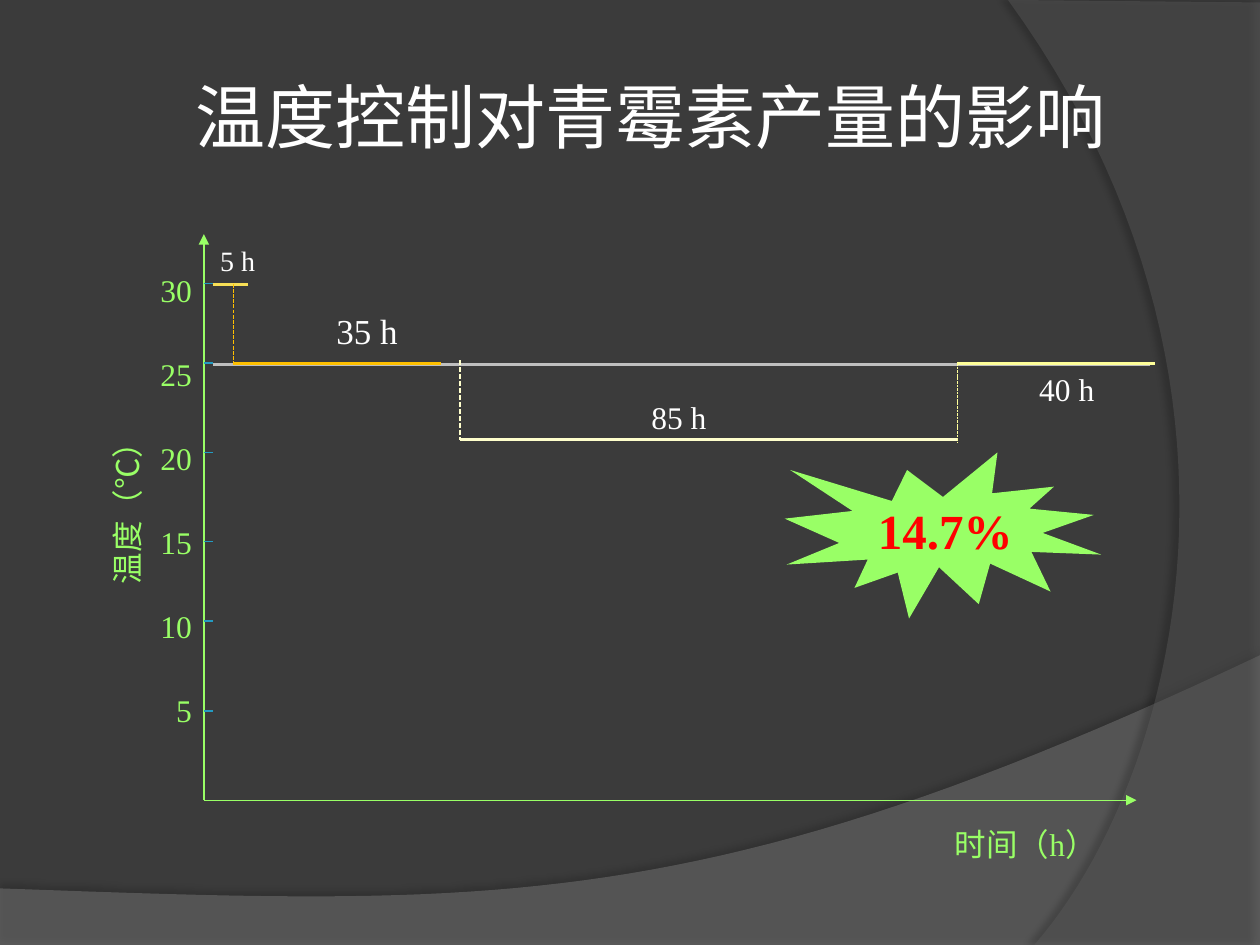
"""Build the slide on temperature control and penicillin yield."""
from lxml import etree
from pptx import Presentation
from pptx.dml.color import RGBColor
from pptx.enum.dml import MSO_LINE
from pptx.enum.shapes import MSO_CONNECTOR, MSO_SHAPE
from pptx.enum.text import MSO_ANCHOR, PP_ALIGN
from pptx.oxml.ns import qn
from pptx.util import Cm, Pt

STRAIGHT = MSO_CONNECTOR.STRAIGHT
BURST = MSO_SHAPE.EXPLOSION1
DASH = MSO_LINE.SQUARE_DOT
MIDDLE, TOP = MSO_ANCHOR.MIDDLE, MSO_ANCHOR.TOP
LEFT, CENTER, RIGHT = PP_ALIGN.LEFT, PP_ALIGN.CENTER, PP_ALIGN.RIGHT

COLORS = {
    "background": "3B3B3B", "wave": "7F7F7F", "arc": "5E5E5E",
    "white": "FFFFFF", "axis": "99FF66", "tick": "239BC2",
    "baseline": "BFBFBF", "gold": "F7DF56", "amber": "FFC000",
    "cream": "FFFFCC", "lemon": "FFFF99", "red": "FF0000", "black": "000000",
}
SERIF, CJK = "Times New Roman", "Noto Sans CJK SC"


def rgb(name):
    return RGBColor.from_string(COLORS[name])


def bezier(start, control1, control2, end, steps=48):
    points = []
    for step in range(1, steps + 1):
        t = step / steps
        weights = ((1 - t) ** 3, 3 * t * (1 - t) ** 2, 3 * t * t * (1 - t), t ** 3)
        points.append(tuple(
            sum(w * p for w, p in zip(weights, axis))
            for axis in zip(start, control1, control2, end)))
    return points


class SlideStyle:
    def __init__(self, slide):
        self.slide = slide
        self.shapes = slide.shapes
        slide.background.fill.solid()
        slide.background.fill.fore_color.rgb = rgb("background")

    def fill(self, shape, color):
        shape.shadow.inherit = False
        shape.fill.solid()
        shape.fill.fore_color.rgb = rgb(color)
        shape.line.fill.background()

    def backdrop(self, points, color, opacity, shade, blur, distance, angle):
        corners = [(Cm(x), Cm(y)) for x, y in points]
        builder = self.shapes.build_freeform(*corners[0], scale=1.0)
        builder.add_line_segments(corners[1:], close=True)
        panel = builder.convert_to_shape()
        self.fill(panel, color)
        properties = panel._element.spPr
        tint = properties.find(qn("a:solidFill")).find(qn("a:srgbClr"))
        etree.SubElement(tint, qn("a:alpha"), val=str(opacity * 1000))
        shadow = etree.SubElement(
            properties.find(qn("a:effectLst")), qn("a:outerShdw"),
            blurRad=str(Pt(blur)), dist=str(Pt(distance)),
            dir=str(angle * 60000), rotWithShape="0")
        dark = etree.SubElement(shadow, qn("a:srgbClr"), val=COLORS["black"])
        etree.SubElement(dark, qn("a:alpha"), val=str(shade * 1000))

    def line(self, start, end, color, width=0.75, dash=None, arrow=False):
        connector = self.shapes.add_connector(
            STRAIGHT, *(Cm(value) for value in (*start, *end)))
        connector.line.color.rgb = rgb(color)
        connector.line.width = Pt(width)
        if dash:
            connector.line.dash_style = dash
        if arrow:
            etree.SubElement(connector.line._get_or_add_ln(),
                             qn("a:tailEnd"), type="triangle")
        etree.SubElement(connector._element.spPr, qn("a:effectLst"))

    def text(self, box, lines, size, color, font=SERIF, align=LEFT, bold=False,
             rotation=0, spacing=None, gap=0, anchor=TOP, inset=0.25):
        label = self.shapes.add_textbox(*(Cm(value) for value in box))
        label.rotation = rotation
        frame = label.text_frame
        frame.word_wrap = True
        frame.vertical_anchor = anchor
        frame.margin_left = frame.margin_right = Cm(inset)
        for index, content in enumerate(lines):
            paragraph = frame.add_paragraph() if index else frame.paragraphs[0]
            paragraph.alignment = align
            if spacing:
                paragraph.line_spacing = Pt(spacing)
            if index:
                paragraph.space_before = Pt(gap)
            run = paragraph.add_run()
            run.text = content
            run.font.size = Pt(size)
            run.font.bold = bold
            run.font.color.rgb = rgb(color)
            run.font.name = font
            etree.SubElement(run._r.get_or_add_rPr(), qn("a:ea"), typeface=CJK)

    def burst(self, box, color):
        self.fill(self.shapes.add_shape(BURST, *(Cm(v) for v in box)), color)


def main():
    deck = Presentation()
    deck.slide_width, deck.slide_height = Cm(25.4), Cm(19.05)
    style = SlideStyle(deck.slides.add_slide(deck.slide_layouts[6]))

    wave = [(0, 17.91), (0, 19.08), (25.4, 19.08), (25.4, 13.21)]
    wave += bezier(wave[-1], (14.2, 18.52), (9.93, 18.26), wave[0])
    style.backdrop(wave, "wave", 45, 35, 4, 3.5, 270)
    arc = [(25.4, 0.05), (25.4, 19.05), (20.85, 19.05)]
    arc += bezier(arc[-1], (23.75, 15.72), (25.86, 7.62), (20.32, 0))
    style.backdrop(arc, "arc", 40, 45, 4, 4, 180)

    style.text((2.74, 0.74, 20.75, 3.18), ["温度控制对青霉素产量的影响"], 40,
               "white", font=CJK, align=CENTER, anchor=MIDDLE, inset=0.13)

    axis_x, axis_y, tick_end = 4.11, 16.13, 4.29
    style.line((tick_end, 7.34), (23.19, 7.34), "baseline", 1.75)
    style.text((19, 16.51, 5.61, 1.02), ["时间（h）"], 18, "axis")
    style.line((axis_x, axis_y), (22.91, axis_y), "axis", arrow=True)
    style.text((-0.25, 8.71, 5.61, 1.02), ["温度（℃）"], 18, "axis", rotation=270)
    style.line((axis_x, axis_y), (axis_x, 4.72), "axis", arrow=True)
    for tick_y in (5.72, 7.32, 9.12, 10.92, 12.52, 14.33):
        style.line((axis_x, tick_y), (tick_end, tick_y), "tick")
    temperatures = [str(value) for value in range(30, 0, -5)]
    style.text((2.9, 5.26, 1.22, 9.65), temperatures, 18, "axis",
               align=RIGHT, spacing=24, gap=24)

    stages = [
        ((4.29, 5.0, 5.74), None, "gold", "5 h", 16, (4.19, 4.78, 1.5, 0.94)),
        ((4.7, 8.89, 7.32), (4.7, 5.72, 7.32, 0.75), "amber",
         "35 h", 20, (6.53, 6.12, 2.21, 1.12)),
        ((9.27, 19.3, 8.86), (9.27, 7.26, 8.86, 1), "cream",
         "85 h", 18, (12.88, 7.9, 2.44, 1.02)),
        ((19.3, 23.29, 7.32), (19.3, 7.32, 8.92, 0.5), "lemon",
         "40 h", 18, (20.7, 7.34, 1.7, 1.02)),
    ]
    for (begin, finish, level), change, color, duration, size, box in stages:
        if change:
            x, upper, lower, width = change
            style.line((x, upper), (x, lower), color, width, DASH)
        style.line((begin, level), (finish, level), color, 1.75)
        style.text(box, [duration], size, "white")

    style.burst((15.82, 9.12, 6.38, 3.35), "axis")
    style.text((17.45, 9.96, 4.06, 1.45), ["14.7%"], 28, "red", bold=True)

    deck.save("out.pptx")


if __name__ == "__main__":
    main()
